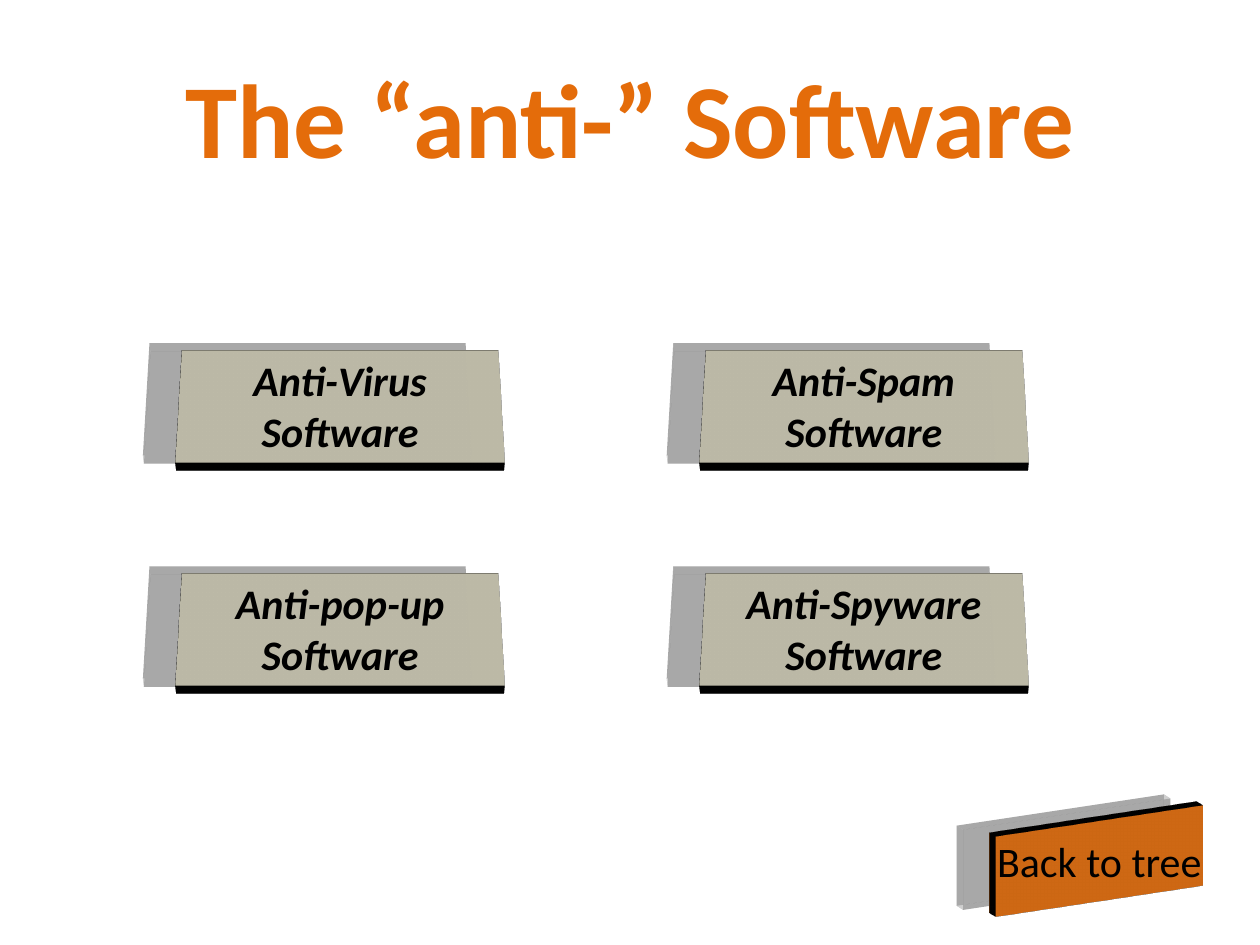
from lxml import etree
from pptx import Presentation
from pptx.dml.color import RGBColor
from pptx.enum.shapes import MSO_SHAPE
from pptx.enum.text import MSO_ANCHOR, PP_ALIGN
from pptx.oxml import parse_xml
from pptx.oxml.ns import nsdecls
from pptx.util import Pt

RECTANGLE = MSO_SHAPE.RECTANGLE
MIDDLE = MSO_ANCHOR.MIDDLE
CENTER = PP_ALIGN.CENTER
TITLE_ONLY = 5
COLORS = {
    "orange": "E46C0A",
    "stone": "DDD9C3",
    "black": "000000",
    "outline": "0D0D0D",
}
TITLE_FONT = {"name": "Calibri", "size": Pt(60), "bold": True}
BUTTON_FONT = {"name": "Calibri", "size": Pt(24), "bold": True, "italic": True}
BACK_FONT = {"name": "Calibri", "size": Pt(24), "bold": False, "italic": False}
TOPICS = [
    ["Anti-Virus Software", "Anti-Spam Software"],
    ["Anti-pop-up Software", "Anti-Spyware Software"],
]


def rgb(name):
    return RGBColor.from_string(COLORS[name])


def place(shape, box):
    for name, value in zip(("left", "top", "width", "height"), box):
        setattr(shape, name, Pt(value))


def write(frame, text, font, color):
    frame.word_wrap = True
    frame.vertical_anchor = MIDDLE
    para = frame.paragraphs[0]
    para.alignment = CENTER
    span = para.add_run()
    span.text = text
    for name, value in font.items():
        setattr(span.font, name, value)
    span.font.color.rgb = rgb(color)
    return span


def add_depth(shape, camera):
    parts = [
        f'''<a:effectLst {nsdecls("a")}>
        <a:outerShdw blurRad="{Pt(14.5)}" dist="{Pt(19)}" dir="11520000" algn="ctr">
        <a:srgbClr val="{COLORS["black"]}"><a:alpha val="18000"/></a:srgbClr>
        </a:outerShdw></a:effectLst>''',
        f'''<a:scene3d {nsdecls("a")}><a:camera prst="{camera}"/>
        <a:lightRig rig="flood" dir="t"><a:rot lat="0" lon="0" rev="13800000"/>
        </a:lightRig></a:scene3d>''',
        f'''<a:sp3d {nsdecls("a")} extrusionH="{Pt(8.5)}" prstMaterial="plastic">
        <a:extrusionClr><a:srgbClr val="{COLORS["black"]}"/></a:extrusionClr>
        </a:sp3d>''',
    ]
    properties = shape.fill._xPr
    for old in properties.findall("{*}effectLst"):
        properties.remove(old)
    for part in parts:
        properties.append(parse_xml(part))


def add_title(page, box):
    title = page.shapes.title
    place(title, box)
    span = write(title.text_frame, "The “anti-” Software", TITLE_FONT, "orange")
    outline = parse_xml(
        f'<a:ln {nsdecls("a")} w="{Pt(3)}"><a:solidFill/></a:ln>'
    )
    namespace = etree.QName(outline).namespace
    etree.SubElement(
        outline[0], f"{{{namespace}}}srgbClr", val=COLORS["outline"]
    )
    span.font._element.insert(0, outline)


def add_button(page, box, text, font, fill, camera):
    button = page.shapes.add_shape(RECTANGLE, *map(Pt, box))
    button.shadow.inherit = False
    button.fill.solid()
    button.fill.fore_color.rgb = rgb(fill)
    button.line.color.rgb = rgb("black")
    button.line.width = Pt(4.5)
    add_depth(button, camera)
    frame = button.text_frame
    frame.margin_left = frame.margin_right = Pt(6)
    write(frame, text, font, "black")


def add_topics(page, box):
    left, top, width, height = box
    button_width, button_height = 184.3, 78.5
    for row, texts in enumerate(TOPICS):
        for column, text in enumerate(texts):
            button_box = (
                left + column * (width - button_width),
                top + row * (height - button_height),
                button_width,
                button_height,
            )
            add_button(page, button_box, text, BUTTON_FONT, "stone",
                       "perspectiveRelaxedModerately")


def main():
    deck = Presentation()
    deck.slide_width, deck.slide_height = Pt(720), Pt(540)
    page = deck.slides.add_slide(deck.slide_layouts[TITLE_ONLY])
    add_title(page, (36, 21.6, 648, 90))
    add_button(page, (562.3, 468, 131.8, 48.2), "Back to tree", BACK_FONT,
               "orange", "isometricOffAxis1Right")
    add_topics(page, (102.2, 192.2, 483.6, 206))
    deck.save("out.pptx")


if __name__ == "__main__":
    main()
